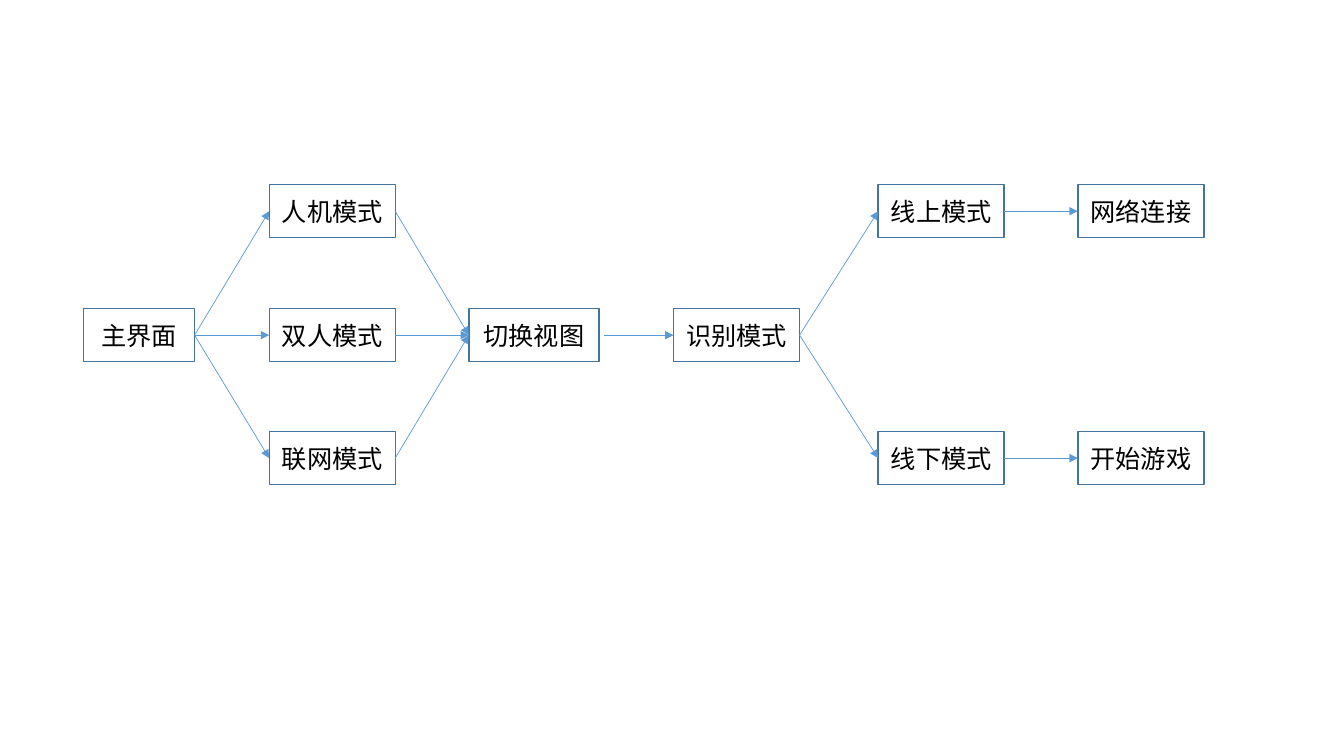
import pptx
import pptx.util
import pptx.dml.color
import pptx.enum.shapes
import pptx.enum.text
from lxml import etree
from pptx.util import Inches

# Columns: left edge and box width; rows: top edge (inches)
COLS = [(0.83, 1.1), (2.67, 1.25), (4.65, 1.29),
        (6.68, 1.25), (8.71, 1.25), (10.69, 1.25)]
ROWS = [1.83, 3.06, 4.28]
HIGH = 0.53

# Box text: (column, row)
STEPS = {
    "主界面": (0, 1),
    "人机模式": (1, 0),
    "双人模式": (1, 1),
    "联网模式": (1, 2),
    "切换视图": (2, 1),
    "识别模式": (3, 1),
    "线上模式": (4, 0),
    "线下模式": (4, 2),
    "网络连接": (5, 0),
    "开始游戏": (5, 2),
}

# Source box: target boxes
FLOWS = {
    "主界面": ["双人模式", "人机模式", "联网模式"],
    "双人模式": ["切换视图"],
    "人机模式": ["切换视图"],
    "联网模式": ["切换视图"],
    "切换视图": ["识别模式"],
    "识别模式": ["线上模式", "线下模式"],
    "线上模式": ["网络连接"],
    "线下模式": ["开始游戏"],
}
GAPS = {"切换视图": 0.05}  # space between a box and its outgoing arrow

THEME = {"font": "Calibri", "size": 18, "text": "000000", "fill": "FFFFFF",
         "edge": "43739E", "edge_pt": 1, "arrow": "5B9BD5", "arrow_pt": 0.5}
LEFT, RIGHT = 1, 3  # connection sites of a rectangle


def tint(code):
    """Return the colour for a hex code."""
    return pptx.dml.color.RGBColor.from_string(code)


def write(shape, text, size=THEME["size"], color=THEME["text"],
          align=pptx.enum.text.PP_ALIGN.CENTER):
    """Put formatted text in the middle of a shape."""
    frame = shape.text_frame
    frame.word_wrap = True
    frame.vertical_anchor = pptx.enum.text.MSO_ANCHOR.MIDDLE
    para = frame.paragraphs[0]
    para.alignment = align
    run = para.add_run()
    run.text = text
    run.font.name = THEME["font"]
    run.font.size = pptx.util.Pt(size)
    run.font.color.rgb = tint(color)


def stroke(line, color, width):
    """Set the colour and width of a line."""
    line.color.rgb = tint(color)
    line.width = pptx.util.Pt(width)


def add_box(slide, text, col, row):
    """Draw one step of the flow in its grid cell."""
    left, wide = COLS[col]
    box = slide.shapes.add_shape(
        pptx.enum.shapes.MSO_SHAPE.RECTANGLE,
        Inches(left), Inches(ROWS[row]), Inches(wide), Inches(HIGH))
    box.shadow.inherit = False
    box.fill.solid()
    box.fill.fore_color.rgb = tint(THEME["fill"])
    stroke(box.line, THEME["edge"], THEME["edge_pt"])
    write(box, text)
    return box


def add_arrow(slide, start, end, gap=0):
    """Link the right side of one box to the left side of another."""
    arrow = slide.shapes.add_connector(
        pptx.enum.shapes.MSO_CONNECTOR.STRAIGHT,
        start.left + start.width + Inches(gap), start.top + start.height // 2,
        end.left, end.top + end.height // 2)
    if not gap:
        arrow.begin_connect(start, RIGHT)
    arrow.end_connect(end, LEFT)
    stroke(arrow.line, THEME["arrow"], THEME["arrow_pt"])
    tip = etree.SubElement(arrow.line._get_or_add_ln(),
                           pptx.oxml.ns.qn("a:tailEnd"))
    tip.set("type", "triangle")
    etree.SubElement(arrow._element.spPr, pptx.oxml.ns.qn("a:effectLst"))


deck = pptx.Presentation()
deck.slide_width, deck.slide_height = Inches(13.33), Inches(7.5)
slide = deck.slides.add_slide(deck.slide_layouts[6])

boxes = {text: add_box(slide, text, *cell) for text, cell in STEPS.items()}
for source, targets in FLOWS.items():
    for target in targets:
        add_arrow(slide, boxes[source], boxes[target], GAPS.get(source, 0))

deck.save("out.pptx")
